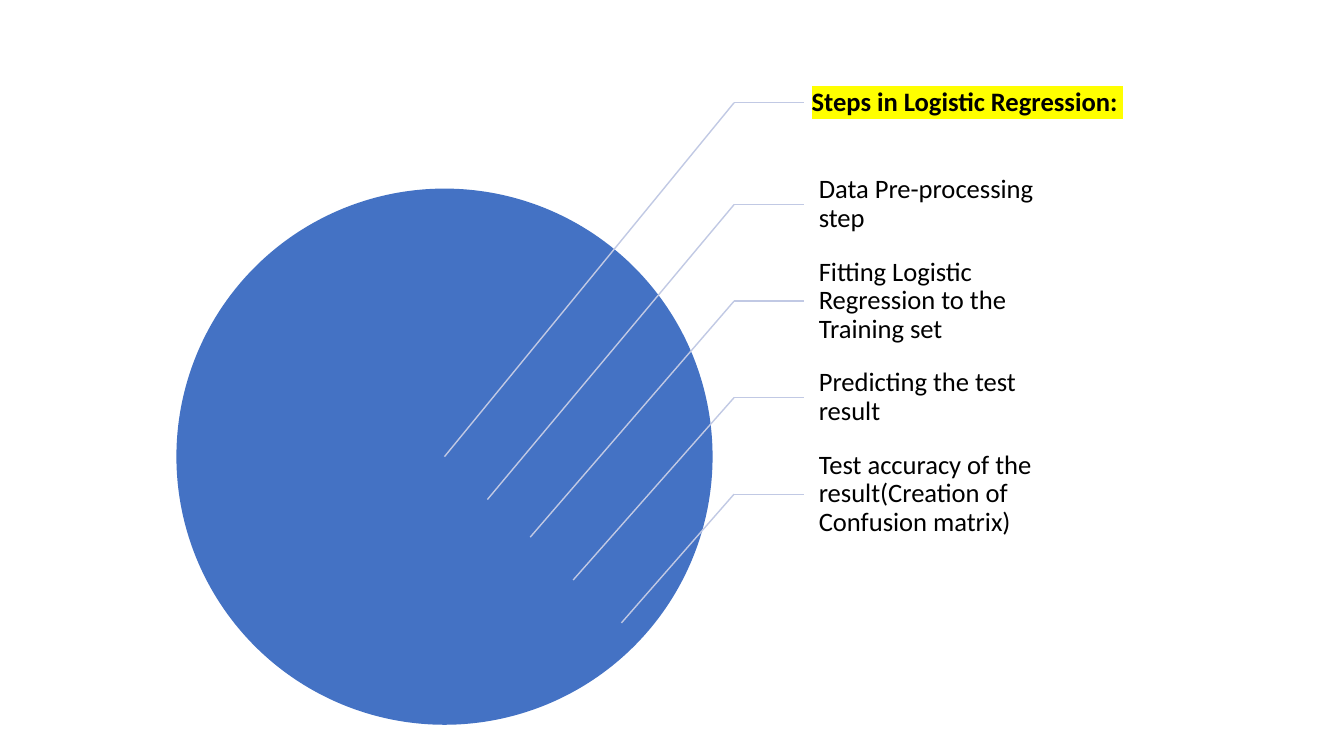
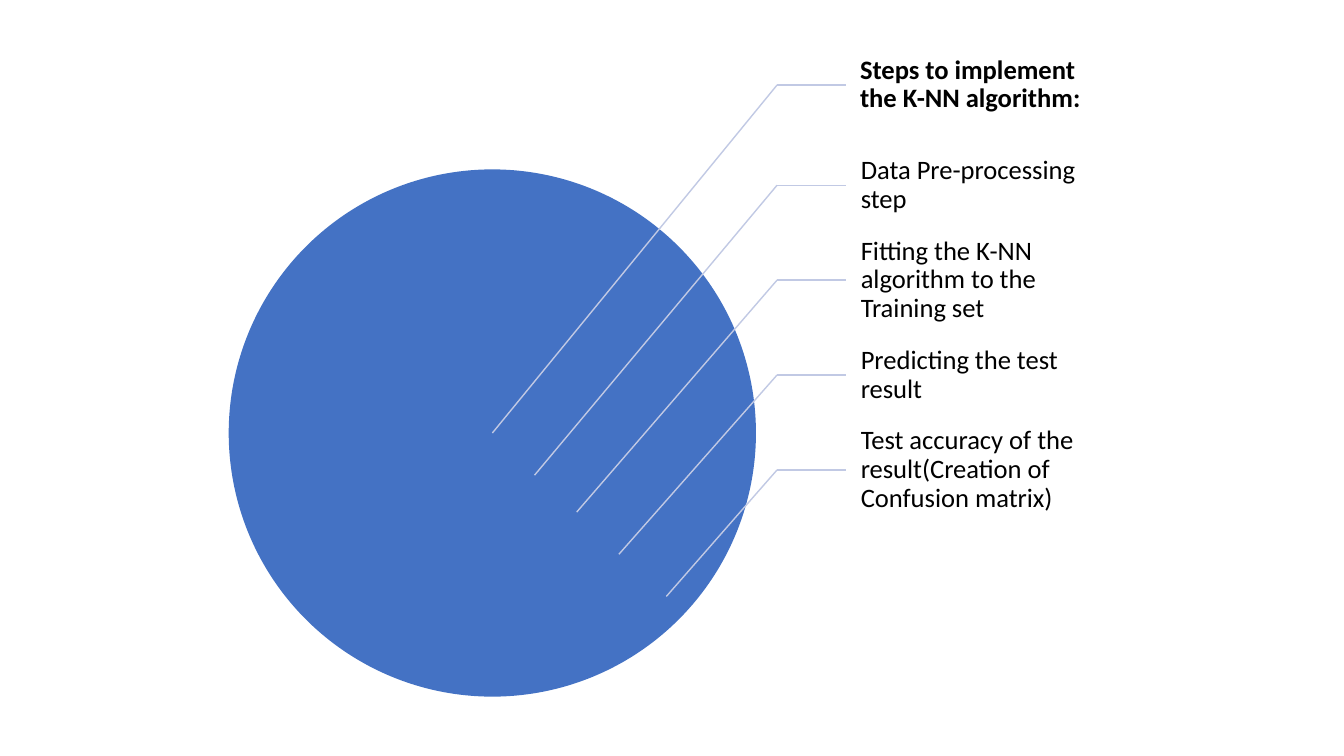
from dataclasses import dataclass

import pptx
import pptx.dml.color
import pptx.enum.shapes
import pptx.enum.text
import pptx.oxml
import pptx.oxml.ns
import pptx.util
from pptx.util import Pt

COLORS = {"disc": "4472C4", "line": "C1C9E4", "text": "000000", "highlight": "FFFF00"}
FONT = "Calibri"
FONT_SIZE = 19
RINGS = 5
ELBOW_X = 0.54
LABEL_X = 0.67
LABEL_W = 0.5
LABEL_H = 0.18


@dataclass(frozen=True)
class Callout:
    label_y: float
    target_x: float
    target_y: float


@dataclass(frozen=True)
class Target:
    center_x: float
    center_y: float
    diameter: float
    labels: tuple[str, ...]
    title_left: float
    title_width: float
    highlighted: bool = False


CALLOUTS = (
    Callout(-0.66, 0, 0),
    Callout(-0.47, 0.08, 0.08),
    Callout(-0.29, 0.16, 0.15),
    Callout(-0.11, 0.24, 0.23),
    Callout(0.07, 0.33, 0.31),
)

TARGETS = (
    Target(317.5, 326.2, 383, (
        "Steps in Logistic Regression: ",
        "Data Pre-processing step",
        "Fitting Logistic Regression to the Training set",
        "Predicting the test result",
        "Test accuracy of the result(Creation of Confusion matrix)",
    ), 569, 251, highlighted=True),
    Target(351.7, 309.3, 376.6, (
        "Steps to implement the K-NN algorithm:",
        "Data Pre-processing step",
        "Fitting the K-NN algorithm to the Training set",
        "Predicting the test result",
        "Test accuracy of the result(Creation of Confusion matrix)",
    ), 603.5, 188.5),
)


def rgb(name: str) -> pptx.dml.color.RGBColor:
    return pptx.dml.color.RGBColor.from_string(COLORS[name])


def add_ring(s, target: Target, diameter: float) -> None:
    sp = s.shapes.add_shape(
        pptx.enum.shapes.MSO_SHAPE.OVAL,
        Pt(target.center_x - diameter / 2), Pt(target.center_y - diameter / 2),
        Pt(diameter), Pt(diameter))
    sp.shadow.inherit = False
    sp.fill.solid()
    sp.fill.fore_color.rgb = rgb("disc")
    sp.line.fill.background()


def add_line(s, x1: float, y1: float, x2: float, y2: float) -> None:
    line = s.shapes.add_connector(
        pptx.enum.shapes.MSO_CONNECTOR.STRAIGHT, Pt(x1), Pt(y1), Pt(x2), Pt(y2))
    line.line.color.rgb = rgb("line")
    line.line.width = Pt(1)
    pptx.oxml.ns.qn("a:effectLst")
    line._element.spPr.append(pptx.oxml.parse_xml(
        f"<a:effectLst {pptx.oxml.ns.nsdecls('a')}/>"))


def highlight(r) -> None:
    fill = r._r.get_or_add_rPr().find(pptx.oxml.ns.qn("a:solidFill"))
    fill.addnext(pptx.oxml.parse_xml(
        f"<a:highlight {pptx.oxml.ns.nsdecls('a')}>"
        f"<a:srgbClr val=\"{COLORS['highlight']}\"/></a:highlight>"))


def set_label(sp, text: str, left: float, middle: float, width: float,
              height: float, bold: bool = False):
    sp.left, sp.top = Pt(left), Pt(middle - height / 2)
    sp.width, sp.height = Pt(width), Pt(height)
    tf = sp.text_frame
    tf.text = text
    tf.word_wrap = True
    tf.auto_size = pptx.enum.text.MSO_AUTO_SIZE.NONE
    tf.vertical_anchor = pptx.enum.text.MSO_ANCHOR.MIDDLE
    tf.margin_left = Pt(10.8)
    tf.margin_top = tf.margin_right = tf.margin_bottom = Pt(2)
    p = tf.paragraphs[0]
    p.alignment = pptx.enum.text.PP_ALIGN.LEFT
    p.line_spacing = 0.9
    r = p.runs[0]
    r.font.name = FONT
    r.font.size = Pt(FONT_SIZE)
    r.font.bold = bold
    r.font.color.rgb = rgb("text")
    return r


def add_target_slide(prs, target: Target) -> None:
    s = prs.slides.add_slide(prs.slide_layouts.get_by_name("Title Only"))
    d = target.diameter
    elbow = target.center_x + ELBOW_X * d
    label_left = target.center_x + LABEL_X * d
    height = LABEL_H * d
    for ring in range(RINGS):
        add_ring(s, target, d * (1 - 2 * ring / (2 * RINGS - 1)))
    for i, (callout, text) in enumerate(zip(CALLOUTS, target.labels)):
        y = target.center_y + callout.label_y * d
        if i == 0:
            r = set_label(s.shapes.title, text, target.title_left, y,
                          target.title_width, height, bold=True)
            if target.highlighted:
                highlight(r)
        else:
            sp = s.shapes.add_textbox(0, 0, 0, 0)
            set_label(sp, text, label_left, y, LABEL_W * d, height)
        add_line(s, elbow, y, label_left, y)
        add_line(s, elbow, y, target.center_x + callout.target_x * d,
                 target.center_y + callout.target_y * d)


def main() -> None:
    prs = pptx.Presentation()
    prs.slide_width, prs.slide_height = Pt(960), Pt(540)
    for target in TARGETS:
        add_target_slide(prs, target)
    prs.save("out.pptx")


if __name__ == "__main__":
    main()
